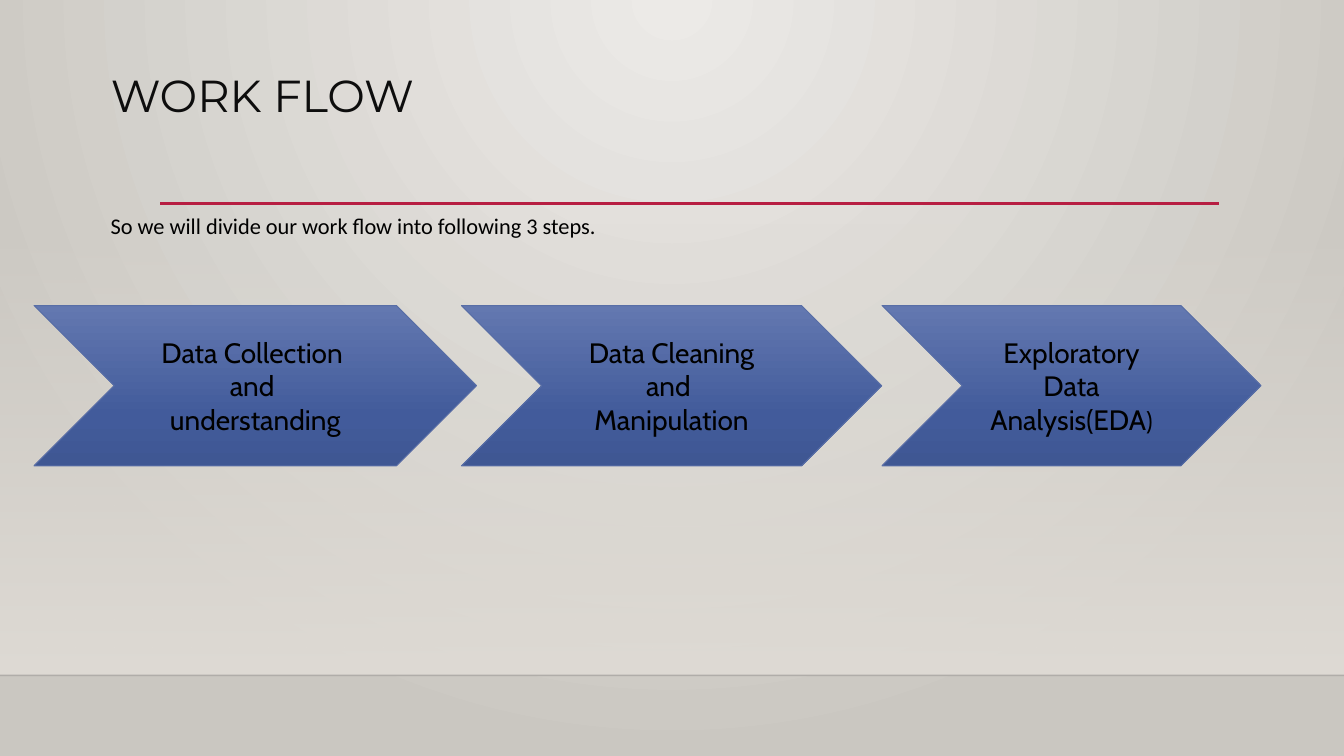
"""Build the work flow slide with three chevron steps."""
import pptx
import pptx.util
import pptx.dml.color
import pptx.enum.shapes
import pptx.enum.text
import pptx.oxml
import pptx.oxml.ns

Cm, Pt = pptx.util.Cm, pptx.util.Pt
SHAPE = pptx.enum.shapes.MSO_SHAPE
ALIGN = pptx.enum.text.PP_ALIGN
ANCHOR = pptx.enum.text.MSO_ANCHOR
FIT = pptx.enum.text.MSO_AUTO_SIZE

WIDTH, HEIGHT = 33.87, 19.05
TITLE = "WORK FLOW"
INTRO = "So we will divide our work flow into following 3 steps."
STEPS = [
    (0.86, 11.15, ["Data Collection ", "and ", "understanding"], ""),
    (11.63, 10.59, ["Data Cleaning", "and ", "Manipulation"], ""),
    (22.23, 9.55, ["Exploratory", " Data ", "Analysis(EDA"], ")"),
]
STEP_TOP, STEP_HEIGHT = 7.7, 4.04
FLOOR = 17.02
RULES = [
    (0, WIDTH, FLOOR, "000001", 1, 20),
    (4.04, 30.73, 5.13, "B71E42", 2.5, 100),
]
BACKDROP = [(0, "ECEAE7", 100), (100, "CAC7C1", 100)]
WALL = [(0, "DFDBD5", 0), (100, "DFDBD5", 100)]
STEP_FILL = [(0, "6378B0", 100), (69, "425B9B", 100), (100, "3F5793", 100)]
DOWN = '<a:lin ang="5400000" scaled="0"/>'
RADIAL = '<a:path path="circle"><a:fillToRect l="43000" r="43000" b="100000"/></a:path>'

TITLE_FONT = {"size": Pt(32), "name": "Montserrat", "bold": False}
INTRO_FONT = {"size": Pt(16), "name": "Calibri"}
STEP_FONT = {"size": Pt(20), "name": "Cabin"}
TAIL_FONT = {"size": Pt(18), "name": "Cabin"}


def colour(value):
    return pptx.dml.color.RGBColor.from_string(value)


def apply(target, formats):
    for name, value in formats.items():
        setattr(target, name, value)


def style(font, formats, value):
    apply(font, formats)
    font.color.rgb = colour(value)


def fill_gradient(fill, parent, stops, direction):
    fill.solid()
    fill.fore_color.rgb = colour(stops[0][1])
    marks = "".join(
        f'<a:gs pos="{place * 1000}"><a:srgbClr val="{value}">'
        f'<a:alpha val="{alpha * 1000}"/></a:srgbClr></a:gs>'
        for place, value, alpha in stops
    )
    gradient = pptx.oxml.parse_xml(
        f'<a:gradFill {pptx.oxml.ns.nsdecls("a")} rotWithShape="1">'
        f"<a:gsLst>{marks}</a:gsLst>{direction}</a:gradFill>"
    )
    solid = parent.find(pptx.oxml.ns.qn("a:solidFill"))
    parent.replace(solid, gradient)


def add_gradient_shape(page, kind, left, top, width, height, stops):
    shape = page.shapes.add_shape(kind, Cm(left), Cm(top), Cm(width), Cm(height))
    shape.shadow.inherit = False
    fill_gradient(shape.fill, shape.element.spPr, stops, DOWN)
    return shape


def add_rule(page, start, end, top, value, weight, alpha):
    rule = page.shapes.add_connector(
        pptx.enum.shapes.MSO_CONNECTOR.STRAIGHT, Cm(start), Cm(top), Cm(end), Cm(top)
    )
    rule.line.color.rgb = colour(value)
    rule.line.width = Pt(weight)
    properties = rule.element.spPr
    tint = next(properties.iter(pptx.oxml.ns.qn("a:srgbClr")))
    namespace = pptx.oxml.ns.nsdecls("a")
    tint.append(pptx.oxml.parse_xml(f'<a:alpha {namespace} val="{alpha * 1000}"/>'))
    properties.append(pptx.oxml.parse_xml(f"<a:effectLst {namespace}/>"))


def add_title(page):
    title = page.shapes.title
    title.element.getparent().append(title.element)
    apply(title, {"left": Cm(2.54), "top": Cm(1.73), "width": Cm(28.78), "height": Cm(1.96)})
    frame = title.text_frame
    apply(frame, {"text": TITLE, "vertical_anchor": ANCHOR.TOP, "auto_size": FIT.NONE})
    para = frame.paragraphs[0]
    apply(para, {"alignment": ALIGN.LEFT, "line_spacing": 0.9})
    span = para.runs[0]
    style(span.font, TITLE_FONT, "0D0D0D")
    outline = pptx.oxml.parse_xml(
        f'<a:ln {pptx.oxml.ns.nsdecls("a")} w="9525"><a:solidFill>'
        '<a:srgbClr val="FFFFFF"/></a:solidFill></a:ln>'
    )
    span.font.fill
    span._r.get_or_add_rPr().insert(0, outline)


def add_step(page, left, width, lines, tail):
    step = add_gradient_shape(
        page, SHAPE.CHEVRON, left, STEP_TOP, width, STEP_HEIGHT, STEP_FILL
    )
    step.line.color.rgb = colour("586EA6")
    step.line.width = Pt(0.75)
    frame = step.text_frame
    apply(frame, {"text": "\n".join(lines), "vertical_anchor": ANCHOR.MIDDLE, "word_wrap": True})
    for para in frame.paragraphs:
        para.alignment = ALIGN.CENTER
        style(para.runs[0].font, STEP_FONT, "000000")
    if tail:
        span = frame.paragraphs[-1].add_run()
        span.text = tail
        style(span.font, TAIL_FONT, "000000")


def add_intro(page):
    box = page.shapes.add_textbox(Cm(2.54), Cm(5.21), Cm(12.9), Cm(0.94))
    frame = box.text_frame
    apply(frame, {"text": INTRO, "word_wrap": False, "auto_size": FIT.SHAPE_TO_FIT_TEXT})
    style(frame.paragraphs[0].runs[0].font, INTRO_FONT, "000000")


def main():
    deck = pptx.Presentation()
    apply(deck, {"slide_width": Cm(WIDTH), "slide_height": Cm(HEIGHT)})
    page = deck.slides.add_slide(deck.slide_layouts[5])
    backdrop = page.background.fill
    backdrop.solid()
    holder = next(page.element.iter(pptx.oxml.ns.qn("p:bgPr")))
    fill_gradient(backdrop, holder, BACKDROP, RADIAL)
    wall = add_gradient_shape(page, SHAPE.RECTANGLE, 0, 5.61, WIDTH, FLOOR - 5.61, WALL)
    wall.line.fill.background()
    for rule in RULES:
        add_rule(page, *rule)
    add_title(page)
    for step in STEPS:
        add_step(page, *step)
    add_intro(page)
    deck.save("out.pptx")


if __name__ == "__main__":
    main()
